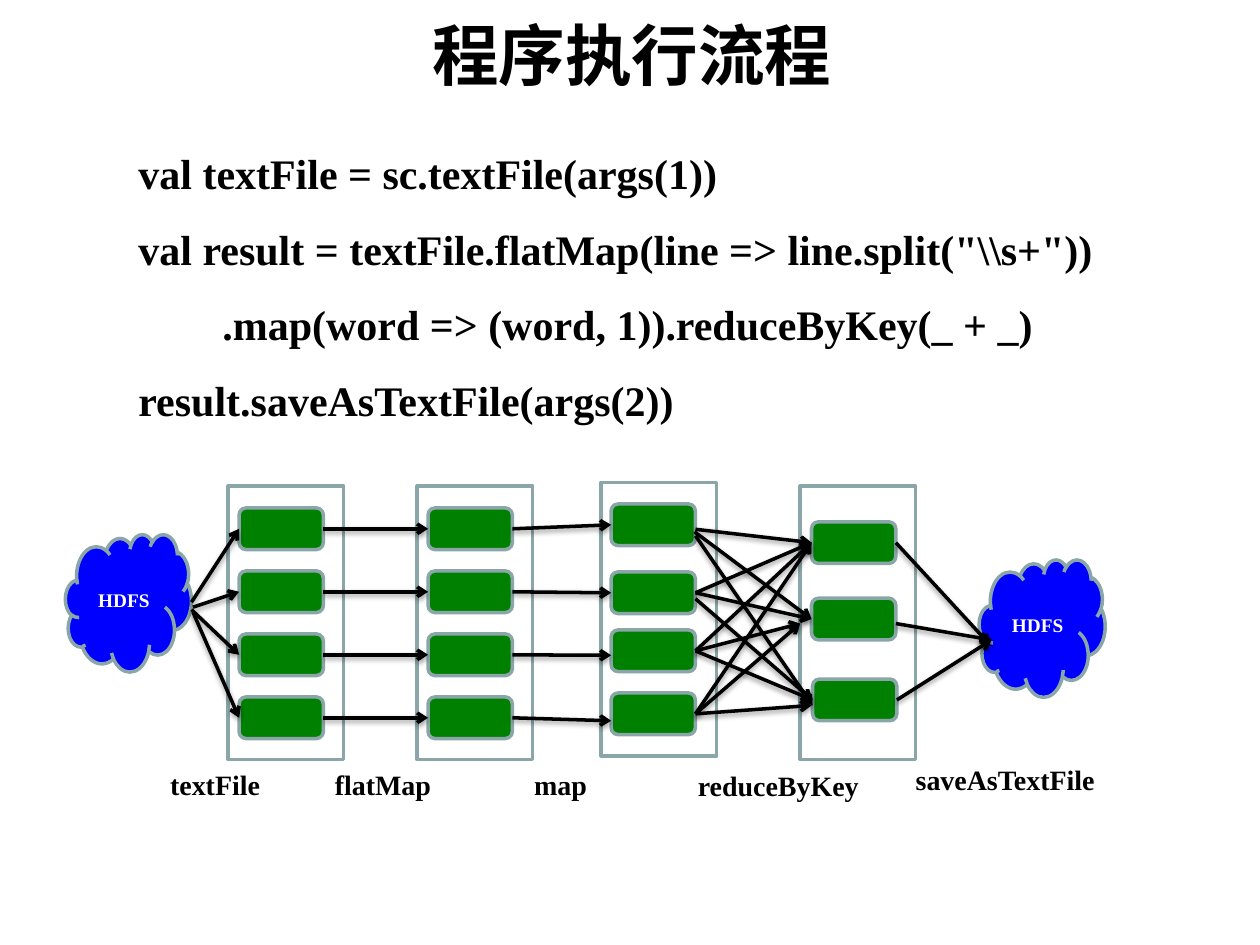
from dataclasses import dataclass
from itertools import product

from lxml.etree import SubElement
from pptx import Presentation
from pptx.dml.color import RGBColor
from pptx.enum.shapes import MSO_CONNECTOR, MSO_SHAPE
from pptx.enum.text import MSO_ANCHOR, MSO_AUTO_SIZE, PP_ALIGN
from pptx.oxml import parse_xml
from pptx.oxml.ns import nsdecls, qn
from pptx.util import Cm, Pt


@dataclass(frozen=True)
class Theme:
    ink: RGBColor = RGBColor(0, 0, 0)
    paper: RGBColor = RGBColor(255, 255, 255)
    partition: RGBColor = RGBColor(0, 128, 0)
    storage: RGBColor = RGBColor(0, 0, 255)
    border: RGBColor = RGBColor(0x8A, 0xA6, 0xA8)
    title_font: str = "Noto Sans CJK SC"
    body_font: str = "Times New Roman"
    title_size: int = 38
    code_size: int = 24
    label_size: int = 16
    storage_size: int = 11
    line_width: int = 2


THEME = Theme()
RIGHT, LEFT = 3, 1
PARTITION_W, PARTITION_H = 1.7, 0.84

STAGES = [
    (4.6, 9.8, [(4.82, 10.24 + 1.27 * row) for row in range(4)]),
    (8.41, 9.8, [(8.63, 10.24 + 1.27 * row) for row in range(4)]),
    (12.12, 9.73, [(12.32, y) for y in (10.16, 11.53, 12.7, 13.97)]),
    (16.13, 9.8, [(16.36, 10.52), (16.36, 12.06), (16.38, 13.69)]),
]
OPERATIONS = [
    ("textFile", 3.18, 15.34, 2.34),
    ("flatMap", 6.5, 15.34, 2.49),
    ("map", 10.52, 15.34, 1.6),
    ("reduceByKey", 13.82, 15.37, 3.81),
    ("saveAsTextFile", 18.21, 15.24, 4.17),
]
CODE = [
    "val textFile = sc.textFile(args(1))",
    'val result = textFile.flatMap(line => line.split("\\\\s+"))',
    "        .map(word => (word, 1)).reduceByKey(_ + _)",
    "result.saveAsTextFile(args(2))",
]
INPUT_EXITS = [(3.86, 12.14), (3.89, 12.24), (3.86, 12.29), (3.89, 12.34)]
OUTPUT_ENTRIES = [(19.96, 13.0), (19.99, 12.9), (19.99, 12.9)]
MAP_ENTRIES = {2: (12.32, 13.21), 3: (12.32, 14.53)}
SHUFFLE_EXITS = {
    (0, 0): (14.02, 10.67),
    (0, 1): (14.0, 10.72),
    (0, 2): (14.02, 10.8),
    (1, 2): (14.02, 12.07),
}
SHUFFLE_ENTRIES = {
    (0, 2): (16.38, 14.22),
    (2, 1): (16.13, 12.57),
    (3, 1): (16.13, 12.57),
    (3, 2): (16.36, 14.22),
}


def write(frame, *lines, size, font=THEME.body_font, color=THEME.ink,
          align=PP_ALIGN.LEFT, anchor=MSO_ANCHOR.TOP, wrap=True,
          grow=False, indent=None, spacing=None):
    frame.word_wrap = wrap
    frame.vertical_anchor = anchor
    frame.auto_size = MSO_AUTO_SIZE.SHAPE_TO_FIT_TEXT if grow else MSO_AUTO_SIZE.NONE
    for index, line in enumerate(lines):
        paragraph = frame.add_paragraph() if index else frame.paragraphs[0]
        paragraph.alignment = align
        if spacing:
            paragraph.line_spacing = spacing
        if indent is not None:
            properties = paragraph._p.get_or_add_pPr()
            properties.set("marL", str(indent))
            properties.set("indent", "0")
        run = paragraph.add_run()
        run.text = line
        run.font.size = Pt(size)
        run.font.bold = True
        run.font.color.rgb = color
        run.font.name = font
        SubElement(run._r.get_or_add_rPr(), qn("a:ea"), typeface=font)


def add_text(slide, left, top, width, height, *lines, **style):
    box = slide.shapes.add_textbox(Cm(left), Cm(top), Cm(width), Cm(height))
    write(box.text_frame, *lines, **style)


def add_block(slide, kind, left, top, width, height, fill):
    block = slide.shapes.add_shape(kind, Cm(left), Cm(top), Cm(width), Cm(height))
    block.shadow.inherit = False
    block.fill.solid()
    block.fill.fore_color.rgb = fill
    block.line.color.rgb = THEME.border
    block.line.width = Pt(THEME.line_width)
    return block


def add_stage(slide, left, top, places):
    add_block(slide, MSO_SHAPE.RECTANGLE, left, top, 2.33, 5.51, THEME.paper)
    return [add_block(slide, MSO_SHAPE.ROUNDED_RECTANGLE, x, y,
                      PARTITION_W, PARTITION_H, THEME.partition)
            for x, y in places]


def add_storage(slide, left, top):
    cloud = add_block(slide, MSO_SHAPE.CLOUD, left, top, 2.54, 2.77, THEME.storage)
    write(cloud.text_frame, "HDFS", size=THEME.storage_size, color=THEME.paper,
          align=PP_ALIGN.CENTER, anchor=MSO_ANCHOR.MIDDLE)


def add_flow(slide, source, target):
    exit_point = Cm(source[0]), Cm(source[1]) if isinstance(source, tuple) else 0
    return exit_point


def side_point(end, side):
    if isinstance(end, tuple):
        return Cm(end[0]), Cm(end[1])
    return end.left + (end.width if side == RIGHT else 0), end.top + end.height // 2


def add_arrow(slide, source, target):
    arrow = slide.shapes.add_connector(
        MSO_CONNECTOR.STRAIGHT, *side_point(source, RIGHT), *side_point(target, LEFT))
    if not isinstance(source, tuple):
        arrow.begin_connect(source, RIGHT)
    if not isinstance(target, tuple):
        arrow.end_connect(target, LEFT)
    arrow.line.color.rgb = THEME.ink
    arrow.line.width = Pt(THEME.line_width)
    SubElement(arrow.line._get_or_add_ln(), qn("a:tailEnd"), type="arrow")
    arrow._element.spPr.append(parse_xml(
        f'<a:effectLst {nsdecls("a")}><a:outerShdw blurRad="{Pt(3.1)}" '
        f'dist="{Pt(1.6)}" dir="5400000" rotWithShape="0"><a:srgbClr val="{THEME.ink}">'
        '<a:alpha val="38000"/></a:srgbClr></a:outerShdw></a:effectLst>'))


def add_title(slide, text):
    title = slide.shapes.title
    title.left, title.top, title.width, title.height = Cm(0.08), Cm(0.08), Cm(25.32), Cm(2)
    write(title.text_frame, text, size=THEME.title_size, font=THEME.title_font,
          align=PP_ALIGN.CENTER, anchor=MSO_ANCHOR.MIDDLE)


def add_flows(slide, loaded, split, mapped, reduced):
    flows = list(zip(INPUT_EXITS, loaded)) + list(zip(loaded, split))
    flows += [(split[row], MAP_ENTRIES.get(row, mapped[row])) for row in range(4)]
    flows += [(SHUFFLE_EXITS.get(pair, mapped[pair[0]]),
               SHUFFLE_ENTRIES.get(pair, reduced[pair[1]]))
              for pair in product(range(4), range(3))]
    flows += zip([reduced[0], (18.06, 12.57), reduced[2]], OUTPUT_ENTRIES)
    for source, target in flows:
        add_arrow(slide, source, target)


def main():
    deck = Presentation()
    deck.slide_width, deck.slide_height = Cm(25.4), Cm(19.05)
    slide = deck.slides.add_slide(deck.slide_layouts[5])
    add_title(slide, "程序执行流程")
    add_text(slide, 1.27, 2.34, 22.02, 6.32, *CODE, size=THEME.code_size,
             grow=True, indent=Cm(1.27), spacing=1.5)
    for operation, left, top, width in OPERATIONS:
        add_text(slide, left, top, width, 0.94, operation,
                 size=THEME.label_size, wrap=False, grow=True)
    stages = [add_stage(slide, *stage) for stage in STAGES]
    add_storage(slide, 1.32, 10.77)
    add_storage(slide, 19.74, 11.28)
    add_flows(slide, *stages)
    deck.save("out.pptx")


if __name__ == "__main__":
    main()
